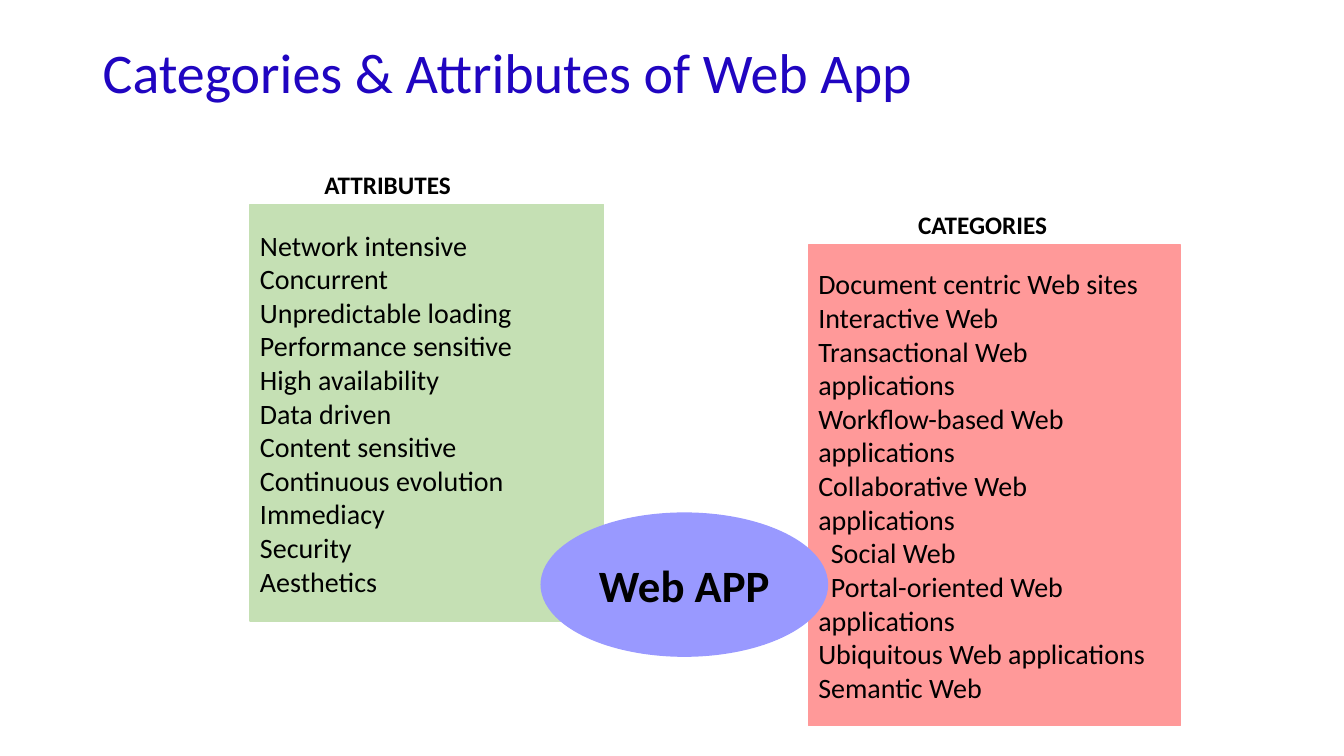
from pptx import Presentation
from pptx.dml.color import RGBColor
from pptx.enum.shapes import MSO_SHAPE
from pptx.enum.text import MSO_ANCHOR, MSO_AUTO_SIZE, PP_ALIGN
from pptx.util import Pt

RECT, OVAL = MSO_SHAPE.RECTANGLE, MSO_SHAPE.OVAL
TOP, MIDDLE = MSO_ANCHOR.TOP, MSO_ANCHOR.MIDDLE
LEFT, CENTER = PP_ALIGN.LEFT, PP_ALIGN.CENTER
NO_FIT = MSO_AUTO_SIZE.NONE

BLACK = RGBColor(0x00, 0x00, 0x00)
BLUE = RGBColor(0x20, 0x05, 0xC1)
GREEN = RGBColor(0xC5, 0xE0, 0xB4)
PINK = RGBColor(0xFF, 0x99, 0x99)
LILAC = RGBColor(0x99, 0x99, 0xFF)

TITLE = "Categories & Attributes of Web App"
HUB = "Web APP"
ATTRIBUTES = [
    "Network intensive", "Concurrent", "Unpredictable loading",
    "Performance sensitive", "High availability", "Data driven",
    "Content sensitive", "Continuous evolution", "Immediacy",
    "Security", "Aesthetics",
]
CATEGORIES = [
    "Document centric Web sites", "Interactive Web",
    "Transactional Web applications", "Workflow-based Web applications",
    "Collaborative Web applications", "Social Web",
    "Portal-oriented Web applications", "Ubiquitous Web applications",
    "Semantic Web",
]
INDENTED = {"Social Web", "Portal-oriented Web applications"}
# heading, heading left, items, colour, panel box (left, top, width, height)
PANELS = [
    ("ATTRIBUTES", 224.6, ATTRIBUTES, GREEN, (178.6, 146.2, 252.7, 297.4)),
    ("CATEGORIES", 648.7, CATEGORIES, PINK, (577.4, 175, 265.7, 343.4)),
]
HUB_BOX = (386.6, 366.5, 204.5, 102.2)
TITLE_BOX = (66.2, 28.8, 828, 104.4)
HEAD_W, HEAD_H = 123.1, 28.8
INDENT = Pt(9)


def write(frame, lines, size, color=BLACK, bold=False, align=LEFT):
    frame.word_wrap = True
    frame.text = "\n".join(lines)
    for para in frame.paragraphs:
        if para.text in INDENTED:
            para._p.get_or_add_pPr().set("indent", str(INDENT))
        para.alignment = align
        font = para.font
        font.name, font.size, font.bold = "Calibri", Pt(size), bold
        font.color.rgb = color


def add_block(slide, kind, box, color):
    shape = slide.shapes.add_shape(kind, *map(Pt, box))
    shape.shadow.inherit = False
    shape.fill.solid()
    shape.fill.fore_color.rgb = color
    shape.line.color.rgb = color
    shape.line.width = Pt(1)
    frame = shape.text_frame
    frame.vertical_anchor = MIDDLE
    return frame


def main():
    deck = Presentation()
    deck.slide_width, deck.slide_height = Pt(960), Pt(540)
    slide = deck.slides.add_slide(deck.slide_layouts[5])

    title = slide.shapes.title
    title.left, title.top, title.width, title.height = map(Pt, TITLE_BOX)
    frame = title.text_frame
    write(frame, [TITLE], 40, BLUE)
    frame.vertical_anchor, frame.auto_size = TOP, NO_FIT
    frame.paragraphs[0].line_spacing = 0.9

    for head, head_x, items, color, box in PANELS:
        frame = add_block(slide, RECT, box, color)
        frame.margin_right = Pt(10)
        write(frame, items, 20)
        place = (head_x, box[1] - HEAD_H, HEAD_W, HEAD_H)
        label = slide.shapes.add_textbox(*map(Pt, place))
        write(label.text_frame, [head], 18, bold=True)

    write(add_block(slide, OVAL, HUB_BOX, LILAC), [HUB], 32,
          bold=True, align=CENTER)
    deck.save("out.pptx")


if __name__ == "__main__":
    main()
